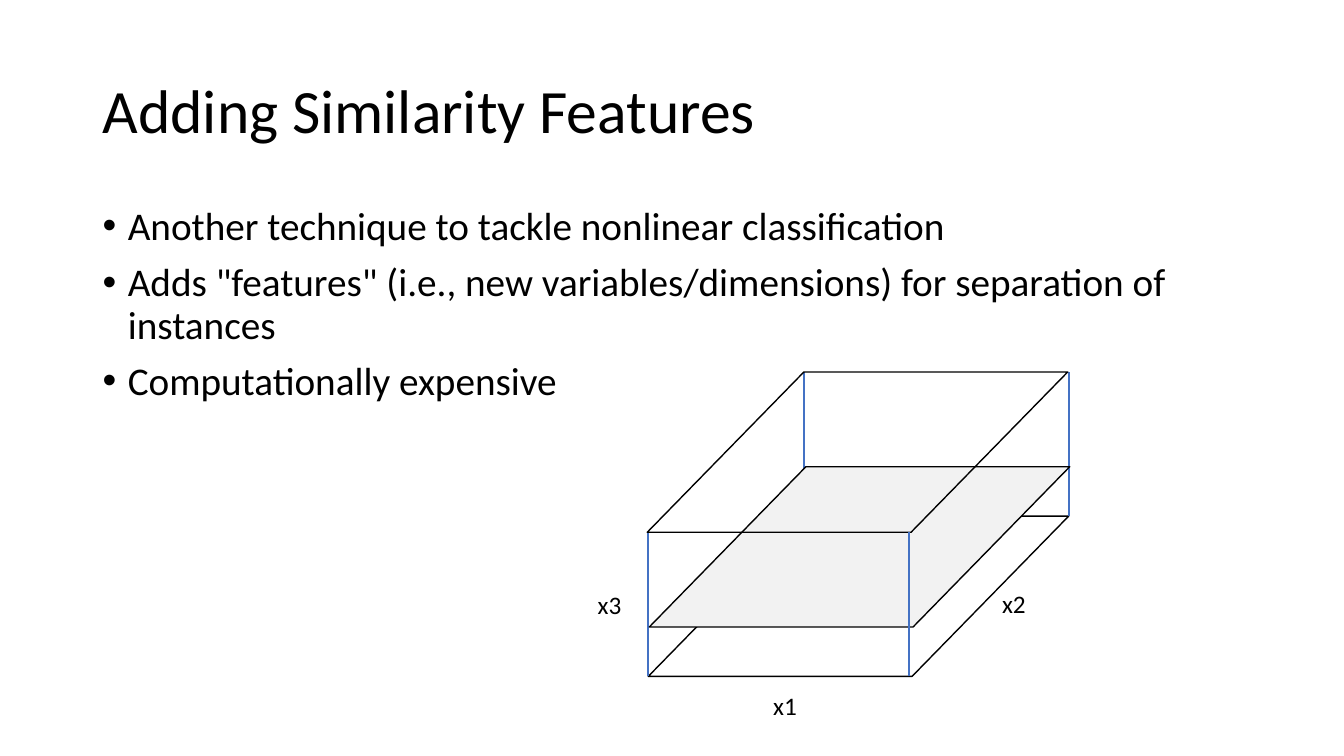
from lxml.etree import SubElement
from pptx import Presentation
from pptx.dml.color import RGBColor
from pptx.enum.shapes import MSO_CONNECTOR, MSO_SHAPE
from pptx.enum.text import MSO_ANCHOR
from pptx.oxml.ns import qn
from pptx.util import Inches, Pt

TITLE = "Adding Similarity Features"
BULLETS = [
    "Another technique to tackle nonlinear classification",
    'Adds "features" (i.e., new variables/dimensions) for separation of instances',
    "Computationally expensive",
]
LABELS = [("x1", 7.57, 6.8), ("x2", 9.84, 5.79), ("x3", 5.83, 5.8)]

BLACK = RGBColor(0, 0, 0)
BLUE = RGBColor(0x44, 0x72, 0xC4)
GREY = RGBColor(0xF2, 0xF2, 0xF2)
FONT = "Calibri"

MARGIN, TEXT_W = 0.92, 11.5
# Box: left edge, width and depth of each face, slant, and heights of the faces
LEFT, FACE_W, FACE_H, SLANT = 6.43, 4.17, 1.59, 0.977
TOP_Y, PLANE_Y, BASE_Y = 3.69, 4.63, 5.12
SHIFT = FACE_H * SLANT

prs = Presentation()
prs.slide_width, prs.slide_height = Inches(13.33), Inches(7.5)
shapes = prs.slides.add_slide(prs.slide_layouts[6]).shapes


def add_text(lines, x, y, w, h, size, wrap=True, anchor=MSO_ANCHOR.TOP,
             spacing=None, bullets=False):
    tf = shapes.add_textbox(*map(Inches, (x, y, w, h))).text_frame
    tf.word_wrap = wrap
    tf.vertical_anchor = anchor
    for i, line in enumerate(lines):
        p = tf.add_paragraph() if i else tf.paragraphs[0]
        if spacing:
            p.line_spacing = spacing
        if i:
            p.space_before = Pt(10)
        if bullets:
            pPr = p._p.get_or_add_pPr()
            pPr.set("marL", str(Inches(0.25)))
            pPr.set("indent", str(-Inches(0.25)))
            SubElement(pPr, qn("a:buFont"), typeface="Arial")
            SubElement(pPr, qn("a:buChar"), char="•")
        r = p.add_run()
        r.text = line
        r.font.name, r.font.size = FONT, Pt(size)
        r.font.color.rgb = BLACK


def add_face(x, y, fill=None):
    sp = shapes.add_shape(MSO_SHAPE.PARALLELOGRAM,
                          *map(Inches, (x, y, FACE_W, FACE_H)))
    sp.adjustments[0] = SLANT
    sp.shadow.inherit = False
    if fill is None:
        sp.fill.background()
    else:
        sp.fill.solid()
        sp.fill.fore_color.rgb = fill
    sp.line.color.rgb, sp.line.width = BLACK, Pt(1)


def add_edge(x, bottom):
    """Draw a vertical edge of the box up from its base."""
    top = bottom - (BASE_Y - TOP_Y)
    c = shapes.add_connector(MSO_CONNECTOR.STRAIGHT,
                             *map(Inches, (x, bottom, x, top)))
    c.line.color.rgb, c.line.width = BLUE, Pt(1.5)
    SubElement(c._element.spPr, qn("a:effectLst"))


add_face(LEFT, BASE_Y)
add_text([TITLE], MARGIN, 0.4, TEXT_W, 1.45, 44,
         anchor=MSO_ANCHOR.MIDDLE, spacing=0.9)
add_text(BULLETS, MARGIN, 2, TEXT_W, 4.76, 28, spacing=0.9, bullets=True)

front_y = BASE_Y + FACE_H
add_edge(LEFT, front_y)
add_edge(LEFT + SHIFT - 0.01, BASE_Y)
add_edge(LEFT + FACE_W, BASE_Y)
add_face(LEFT + 0.01, PLANE_Y, GREY)
for label, x, y in LABELS:
    add_text([label], x, y, 0.58, 0.4, 18)
add_face(LEFT - 0.01, TOP_Y)
add_edge(LEFT + FACE_W - SHIFT - 0.03, front_y)

prs.save("out.pptx")
